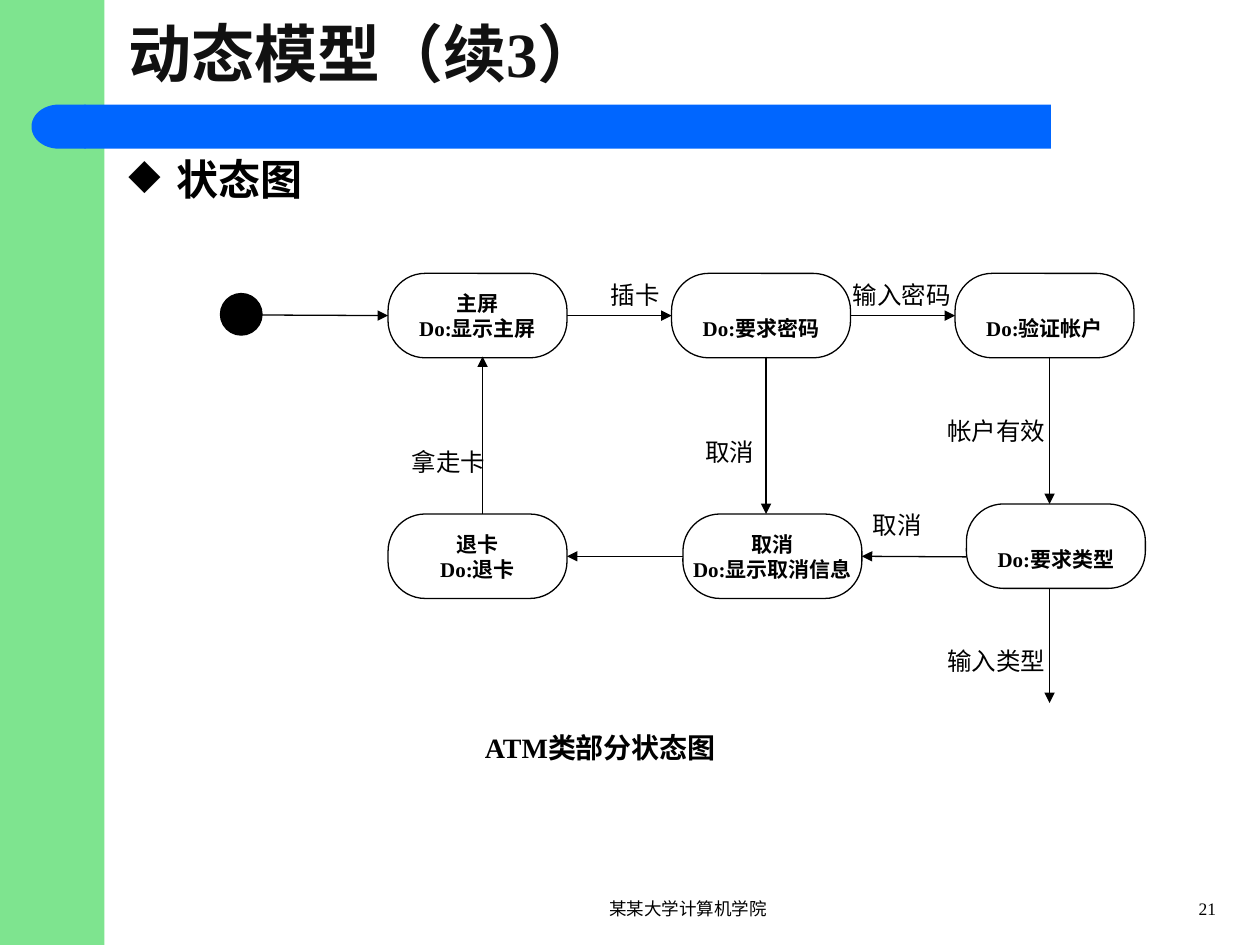
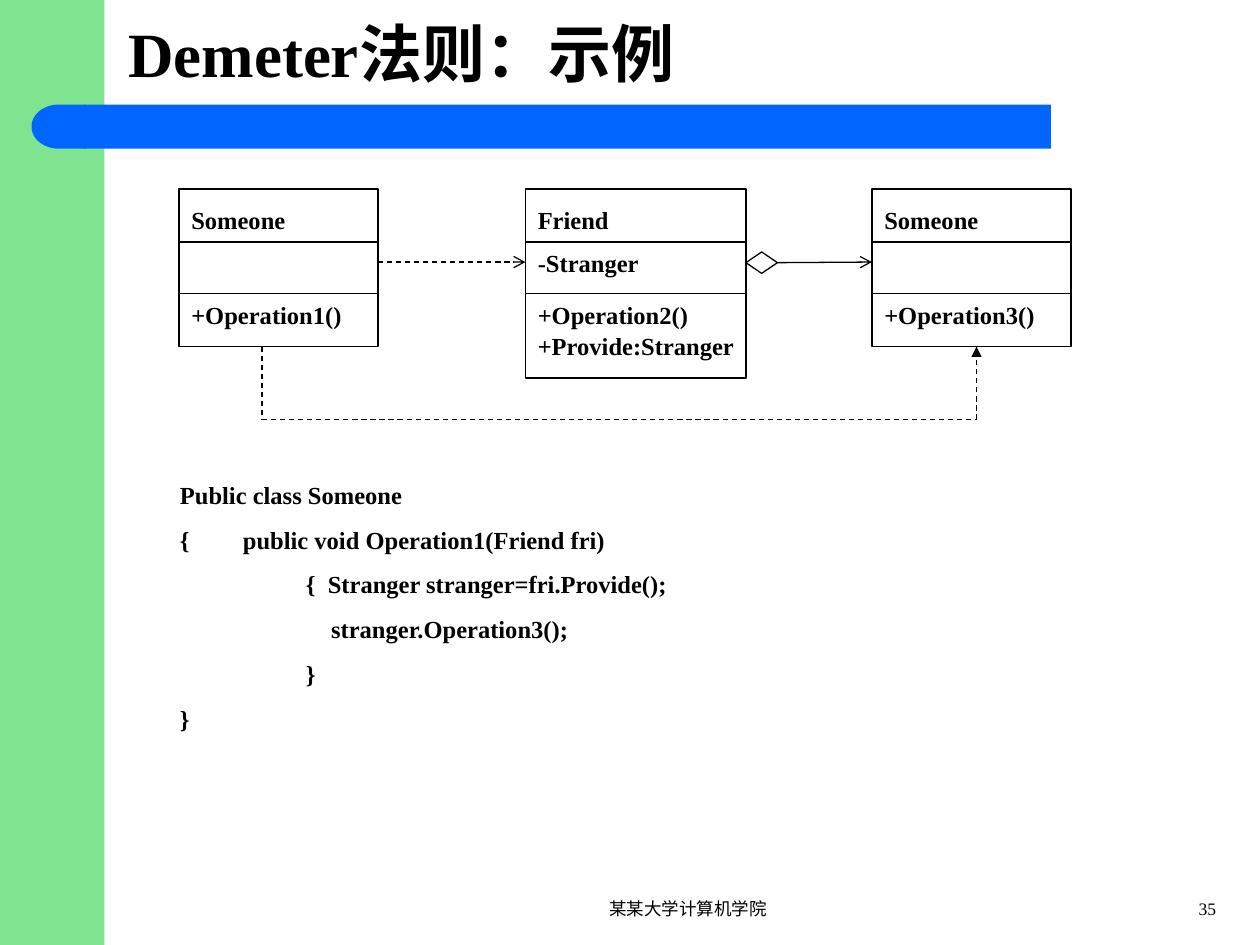
import pptx
import pptx.dml.color
import pptx.enum.dml
import pptx.enum.shapes
import pptx.enum.text
import pptx.oxml.ns
import pptx.util
from lxml import etree

Inches = pptx.util.Inches
Pt = pptx.util.Pt
RGBColor = pptx.dml.color.RGBColor
SHAPE = pptx.enum.shapes.MSO_SHAPE
ALIGN = pptx.enum.text.PP_ALIGN
ANCHOR = pptx.enum.text.MSO_ANCHOR
qn = pptx.oxml.ns.qn

GREEN = RGBColor(0x7E, 0xE4, 0x8F)
BLUE = RGBColor(0x00, 0x66, 0xFF)
BLACK = RGBColor(0x00, 0x00, 0x00)
NEAR_BLACK = RGBColor(0x11, 0x11, 0x11)
FONT = "Times New Roman"
FOOTER = "某某大学计算机学院"
LINE_WIDTH = Pt(0.75)
TOP, LEFT, BOTTOM, RIGHT = range(4)


def write_lines(frame, lines, size, bold=False, align=ALIGN.LEFT, color=BLACK, gap=0):
    for index, line in enumerate(lines):
        paragraph = frame.paragraphs[0] if index == 0 else frame.add_paragraph()
        paragraph.text = line
        paragraph.alignment = align
        paragraph.space_before = Pt(gap if index else 0)
        paragraph.font.name = FONT
        paragraph.font.size = Pt(size)
        paragraph.font.bold = bold
        paragraph.font.color.rgb = color


def add_text(slide, box, lines, size, **style):
    frame = slide.shapes.add_textbox(*map(Inches, box)).text_frame
    frame.word_wrap = True
    write_lines(frame, lines, size, **style)
    return frame


def add_shape(slide, kind, box, fill=None, outlined=False):
    shape = slide.shapes.add_shape(kind, *map(Inches, box))
    shape.shadow.inherit = False
    if fill is None:
        shape.fill.background()
    else:
        shape.fill.solid()
        shape.fill.fore_color.rgb = fill
    if outlined:
        shape.line.color.rgb = BLACK
        shape.line.width = LINE_WIDTH
    else:
        shape.line.fill.background()
    return shape


def add_line(slide, start, end, head=None, dashed=False, source=None, target=None):
    connector = slide.shapes.add_connector(
        pptx.enum.shapes.MSO_CONNECTOR.STRAIGHT, *map(Inches, start + end))
    if source:
        connector.begin_connect(*source)
    if target:
        connector.end_connect(*target)
    connector.line.color.rgb = BLACK
    connector.line.width = LINE_WIDTH
    if dashed:
        connector.line.dash_style = pptx.enum.dml.MSO_LINE.DASH
    if head:
        etree.SubElement(connector.line._get_or_add_ln(), qn("a:tailEnd"), type=head)
    etree.SubElement(connector._element.spPr, qn("a:effectLst"))


def add_slide(presentation, title, number, title_color=BLACK):
    slide = presentation.slides.add_slide(presentation.slide_layouts[6])
    add_shape(slide, SHAPE.RECTANGLE, (0, 0, 0.83, 7.5), GREEN)
    add_shape(slide, SHAPE.RECTANGLE, (0.67, 0.83, 7.67, 0.35), BLUE)
    add_shape(slide, SHAPE.FLOWCHART_DELAY, (0.25, 0.83, 0.43, 0.35), BLUE).rotation = 180
    frame = add_text(slide, (0.92, 0, 8.67, 0.83), [title], 36, bold=True, color=title_color)
    frame.vertical_anchor = ANCHOR.MIDDLE
    add_text(slide, (3.75, 7.08, 3.42, 0.25), [FOOTER], 10, align=ALIGN.CENTER)
    add_text(slide, (9, 7.08, 0.75, 0.25), [str(number)], 10, align=ALIGN.RIGHT)
    return slide


def add_bullet(slide, text):
    frame = add_text(slide, (0.92, 1.17, 8.92, 0.6), [text], 24, bold=True)
    properties = frame.paragraphs[0]._p.get_or_add_pPr()
    properties.set("marL", str(Inches(0.38)))
    properties.set("indent", str(-Inches(0.38)))
    bullet = etree.Element(qn("a:buChar"), char="◆")
    properties.find(qn("a:defRPr")).addprevious(bullet)


def add_state(slide, left, top, lines):
    state = add_shape(slide, SHAPE.ROUNDED_RECTANGLE, (left, top, 1.42, 0.67), outlined=True)
    state.adjustments[0] = 0.44
    frame = state.text_frame
    frame.word_wrap = False
    frame.vertical_anchor = ANCHOR.MIDDLE
    frame.margin_top = Inches(0.05 if len(lines) > 1 else 0.25)
    write_lines(frame, lines, 12, bold=True, align=ALIGN.CENTER)
    return state


def add_class(slide, left, width, height, name, attribute, operations):
    add_shape(slide, SHAPE.RECTANGLE, (left, 1.5, width, height), outlined=True)
    for divider in (1.92, 2.33):
        add_line(slide, (left, divider), (left + width, divider))
    rows = [(1.58, name), (1.92, attribute)]
    rows += [(2.33 + 0.25 * index, operation) for index, operation in enumerate(operations)]
    for top, text in rows:
        if text:
            add_text(slide, (left, top, 1.83, 0.34), [text], 14, bold=True)


def build_state_diagram(presentation):
    slide = add_slide(presentation, "动态模型（续3）", 21, NEAR_BLACK)
    add_bullet(slide, "状态图")

    add_shape(slide, SHAPE.OVAL, (1.75, 2.33, 0.33, 0.33), BLACK, outlined=True)
    home = add_state(slide, 3.08, 2.17, ["主屏", "Do:显示主屏"])
    password = add_state(slide, 5.33, 2.17, ["Do:要求密码"])
    verify = add_state(slide, 7.58, 2.17, ["Do:验证帐户"])
    kind = add_state(slide, 7.67, 4, ["Do:要求类型"])
    cancel = add_state(slide, 5.42, 4.08, ["取消", "Do:显示取消信息"])
    eject = add_state(slide, 3.08, 4.08, ["退卡", "Do:退卡"])

    transitions = [
        ((2.08, 2.5), (3.08, 2.5), None, (home, LEFT)),
        ((4.5, 2.5), (5.33, 2.5), (home, RIGHT), (password, LEFT)),
        ((6.75, 2.5), (7.58, 2.5), (password, RIGHT), (verify, LEFT)),
        ((8.33, 2.83), (8.33, 4), None, None),
        ((6.08, 2.83), (6.08, 4.08), None, None),
        ((kind.left.inches, 4.42), (6.83, 4.42), None, (cancel, RIGHT)),
        ((5.42, 4.42), (4.5, 4.42), (cancel, LEFT), (eject, RIGHT)),
        ((3.83, 4.08), (3.83, 2.83), None, None),
        ((8.33, 4.67), (8.33, 5.58), None, None),
    ]
    for start, end, source, target in transitions:
        add_line(slide, start, end, "triangle", source=source, target=target)

    events = [
        (4.75, 2.17, 0.75, "插卡"),
        (6.67, 2.17, 1.17, "输入密码"),
        (7.42, 3.25, 1.17, "帐户有效"),
        (5.5, 3.42, 0.75, "取消"),
        (6.83, 4, 0.75, "取消"),
        (3.17, 3.5, 0.92, "拿走卡"),
        (7.42, 5.08, 1.17, "输入类型"),
    ]
    for left, top, width, event in events:
        add_text(slide, (left, top, width, 0.34), [event], 14)
    add_text(slide, (3.75, 5.75, 2.42, 0.37), ["ATM类部分状态图"], 16, bold=True)


def build_demeter_example(presentation):
    slide = add_slide(presentation, "Demeter法则：示例", 35)
    add_class(slide, 1.42, 1.58, 1.25, "Someone", None, ["+Operation1()"])
    add_class(slide, 4.17, 1.75, 1.5, "Friend", "-Stranger",
              ["+Operation2()", "+Provide:Stranger"])
    add_class(slide, 6.92, 1.58, 1.25, "Someone", None, ["+Operation3()"])

    add_line(slide, (3, 2.08), (4.17, 2.08), "arrow", dashed=True)
    aggregation = add_shape(slide, SHAPE.DIAMOND, (5.92, 2, 0.25, 0.17), outlined=True)
    add_line(slide, (6.17, 2.08), (6.92, 2.08), "arrow", source=(aggregation, RIGHT))

    add_line(slide, (2.08, 2.75), (2.08, 3.33), dashed=True)
    add_line(slide, (2.08, 3.33), (7.75, 3.33), dashed=True)
    add_line(slide, (7.75, 3.33), (7.75, 2.75), "triangle", dashed=True)

    code = [
        (0, "Public class Someone"),
        (0, "{\tpublic void Operation1(Friend fri)"),
        (1, "{  Stranger stranger=fri.Provide();"),
        (1.2, "stranger.Operation3();"),
        (1, "}"),
        (0, "}"),
    ]
    frame = add_text(slide, (1.33, 3.76, 7.67, 2.11), [line for _, line in code], 14,
                     bold=True, gap=8.8)
    for paragraph, (indent, _) in zip(frame.paragraphs, code):
        paragraph._p.get_or_add_pPr().set("marL", str(Inches(indent)))


def main():
    presentation = pptx.Presentation()
    presentation.slide_width = Inches(10)
    presentation.slide_height = Inches(7.5)
    build_state_diagram(presentation)
    build_demeter_example(presentation)
    presentation.save("out.pptx")


if __name__ == "__main__":
    main()
